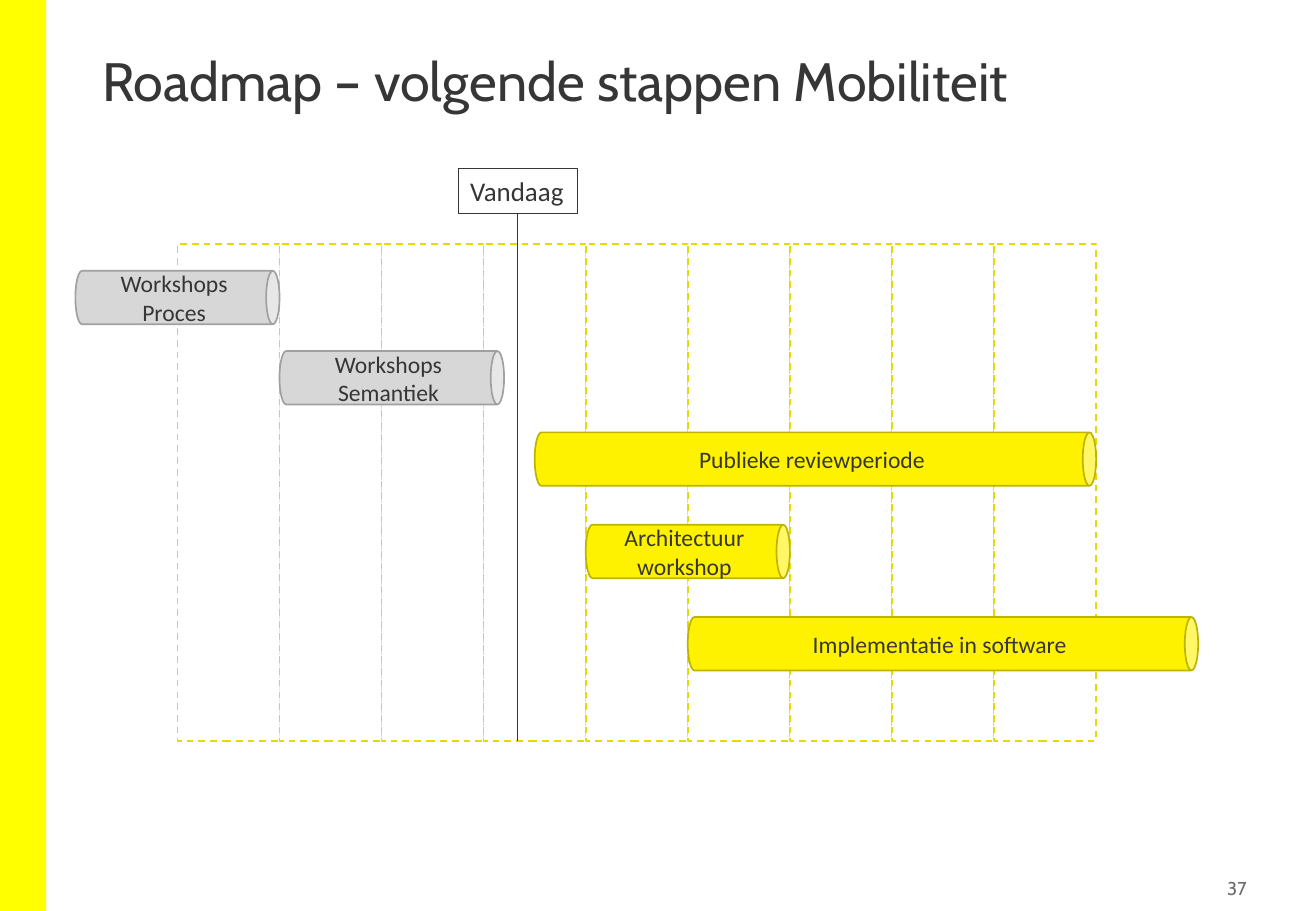
from lxml import etree
from pptx import Presentation
from pptx.dml.color import RGBColor
from pptx.enum.dml import MSO_LINE
from pptx.enum.shapes import MSO_CONNECTOR, MSO_SHAPE
from pptx.enum.text import MSO_ANCHOR, PP_ALIGN
from pptx.oxml.ns import qn
from pptx.util import Inches, Pt

RECTANGLE, CAN = MSO_SHAPE.RECTANGLE, MSO_SHAPE.CAN
STRAIGHT = MSO_CONNECTOR.STRAIGHT
DASH = MSO_LINE.DASH
TOP, MIDDLE = MSO_ANCHOR.TOP, MSO_ANCHOR.MIDDLE
LEFT, CENTER, RIGHT = PP_ALIGN.LEFT, PP_ALIGN.CENTER, PP_ALIGN.RIGHT

COLORS = {
    "band": "FFFF00", "white": "FFFFFF", "text": "373636", "number": "6B6B6B",
    "grid": "E5DA04", "done": "D7D7D7", "done_edge": "A0A0A0",
    "planned": "FFF200", "planned_edge": "BDB300",
}
PAGE_WIDTH, PAGE_HEIGHT = 10.83, 7.5
GRID_LEFT, GRID_TOP, COLUMN_WIDTH, GRID_HEIGHT = 1.46, 2.01, 0.84, 4.09
COLUMN_COUNT = 9
BAR_HEIGHT = 0.44
TODAY = 4.26


def add_block(kind, left, top, width, height, fill, edge=None, weight=1):
    block = page.shapes.add_shape(
        kind, Inches(left), Inches(top), Inches(width), Inches(height))
    block.shadow.inherit = False
    block.fill.solid()
    block.fill.fore_color.rgb = RGBColor.from_string(COLORS[fill])
    if edge:
        block.line.color.rgb = RGBColor.from_string(COLORS[edge])
        block.line.width = Pt(weight)
    else:
        block.line.fill.background()
    return block


def write_text(box, lines, size, font, color, align, anchor, wrap=True):
    frame = box.text_frame
    frame.text = "\n".join(lines)
    frame.word_wrap = wrap
    frame.vertical_anchor = anchor
    for para in frame.paragraphs:
        para.alignment = align
        for name, value in {"size": Pt(size), "name": font}.items():
            setattr(para.font, name, value)
        para.font.color.rgb = RGBColor.from_string(COLORS[color])


deck = Presentation()
deck.slide_width, deck.slide_height = Inches(PAGE_WIDTH), Inches(PAGE_HEIGHT)
page = deck.slides.add_slide(deck.slide_layouts[5])

add_block(RECTANGLE, 0, 0, 0.38, PAGE_HEIGHT, "band")

title = page.shapes.title
title_place = {"left": 0.74, "top": 0.4, "width": 9.34, "height": 1.08}
for name, value in title_place.items():
    setattr(title, name, Inches(value))
write_text(title, ["Roadmap – volgende stappen Mobiliteit"],
           32, "Cabin", "text", LEFT, TOP)
title.text_frame.paragraphs[0].line_spacing = 0.9

number = page.shapes.add_textbox(Inches(9.5), Inches(7.17), Inches(0.81), Inches(0.29))
write_text(number, ["37"], 11, "Cabin", "number", RIGHT, MIDDLE)
for side in ("left", "top", "right", "bottom"):
    setattr(number.text_frame, f"margin_{side}", Inches(0.05))

for column in range(COLUMN_COUNT):
    period = add_block(RECTANGLE, GRID_LEFT + column * COLUMN_WIDTH, GRID_TOP,
                       COLUMN_WIDTH, GRID_HEIGHT, "white", "grid")
    period.line.dash_style = DASH

steps = [
    (["Workshops", "Proces"], -1, 1, 2.45, "done"),
    (["Workshops", "Semantiek"], 1, 3.2, 3.11, "done"),
    (["Publieke reviewperiode"], 3.5, 9, 3.78, "planned"),
    (["Implementatie in software"], 5, 10, 5.3, "planned"),
    (["Architectuur workshop"], 4, 6, 4.54, "planned"),
]
for lines, start, end, middle, state in steps:
    length = (end - start) * COLUMN_WIDTH
    center = GRID_LEFT + (start + end) / 2 * COLUMN_WIDTH
    bar = add_block(CAN, center - BAR_HEIGHT / 2, middle - length / 2,
                    BAR_HEIGHT, length, state, f"{state}_edge")
    bar.rotation = 90
    write_text(bar, lines, 14, "Calibri", "text", CENTER, MIDDLE)
    bar.text_frame._txBody.bodyPr.set("vert", "vert270")

today = add_block(RECTANGLE, TODAY - 0.49, 1.39, 0.98, 0.37, "white", "text", 0.75)
write_text(today, ["Vandaag"], 16, "Calibri", "text", LEFT, TOP, False)

marker = page.shapes.add_connector(
    STRAIGHT, Inches(TODAY), Inches(GRID_TOP + GRID_HEIGHT), Inches(TODAY), Inches(1.76))
marker.end_connect(today, 2)
marker.line.color.rgb = RGBColor.from_string(COLORS["text"])
marker.line.width = Pt(0.5)
etree.SubElement(marker._element.spPr, qn("a:effectLst"))

deck.save("out.pptx")
